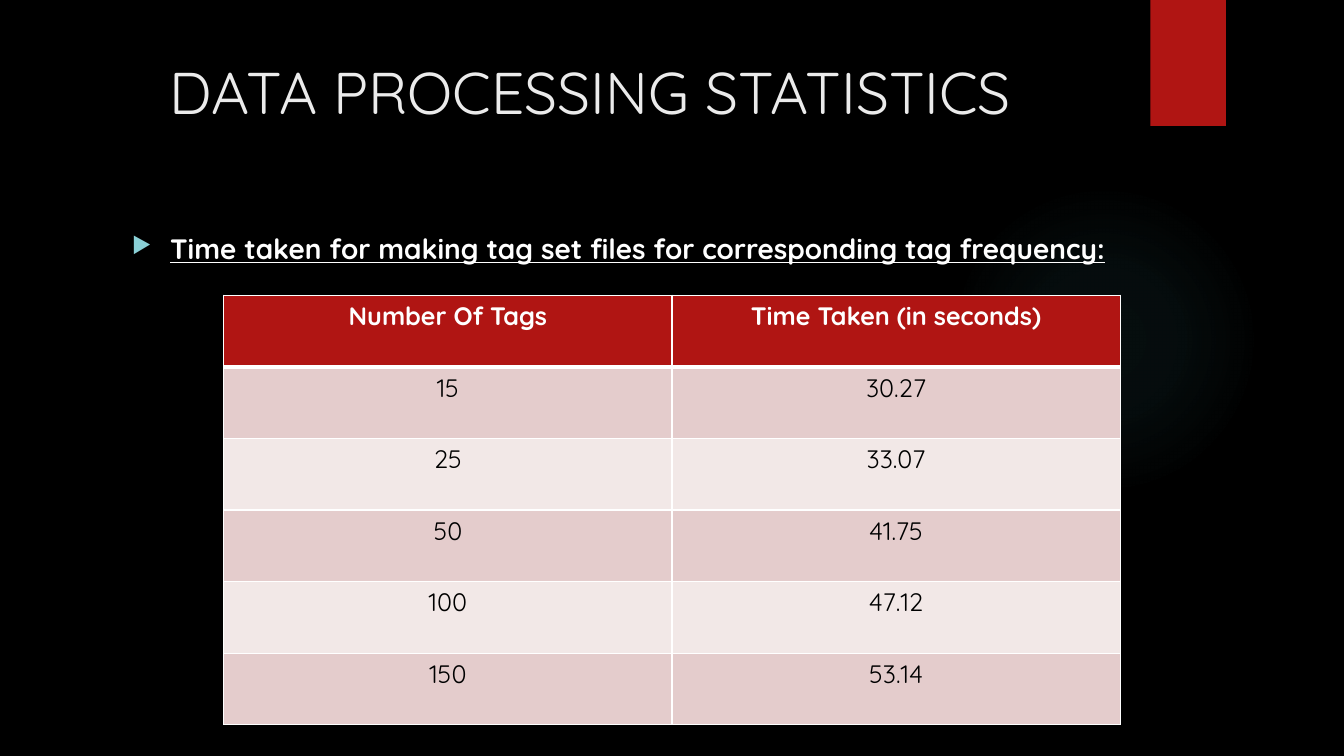
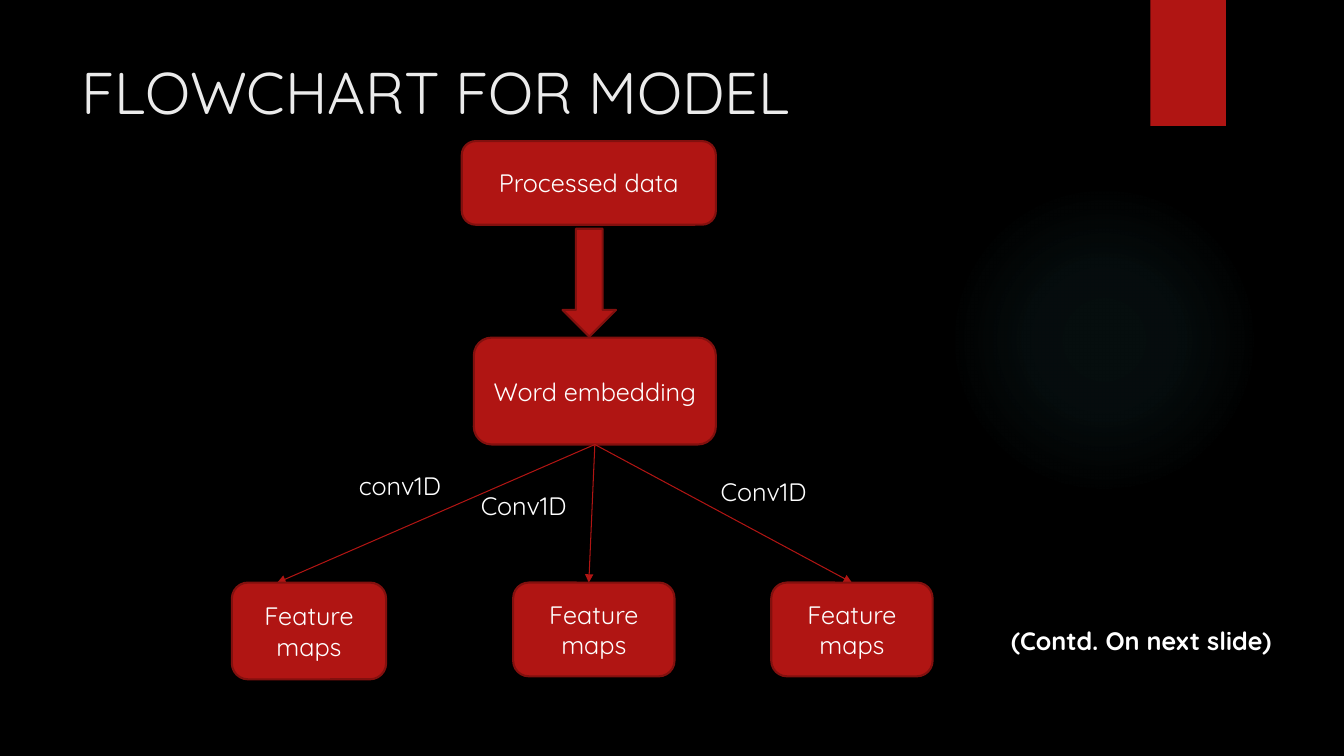
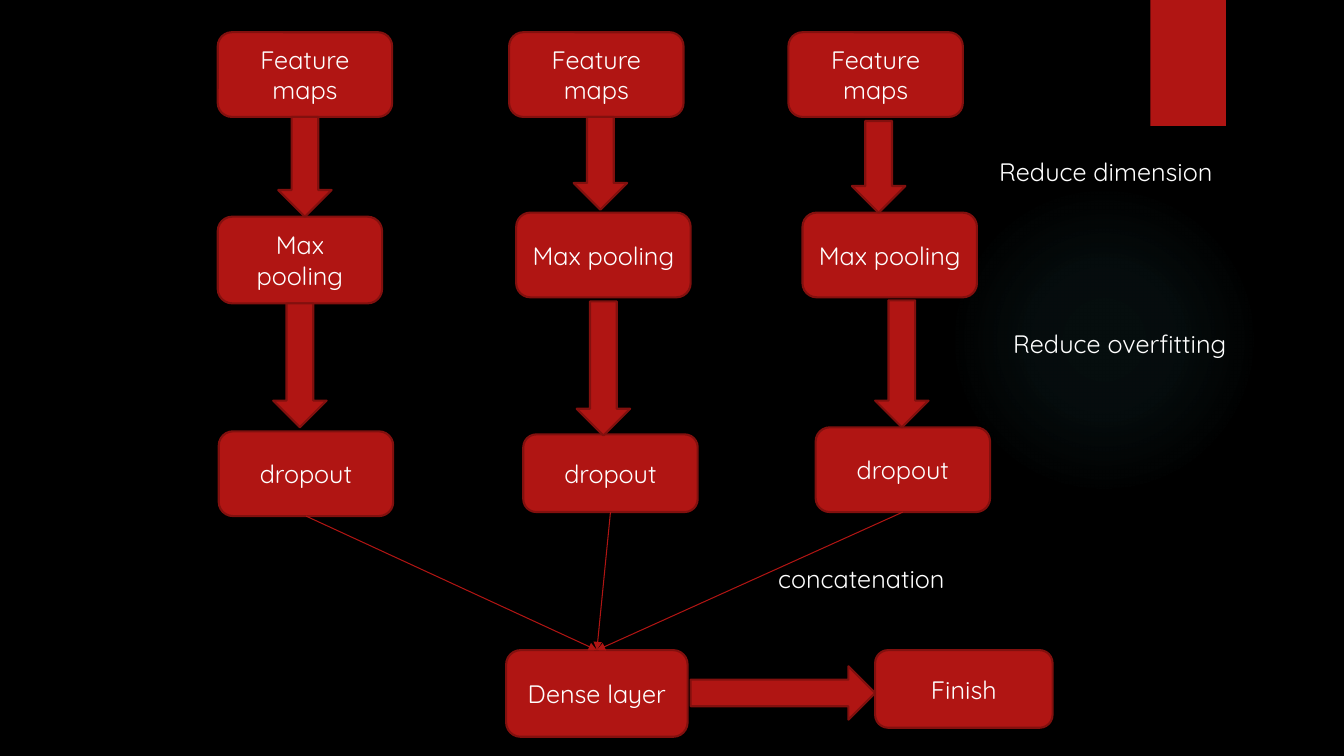
import dataclasses
import pptx
import pptx.dml.color
import pptx.enum.shapes
import pptx.enum.text
import pptx.oxml
import pptx.oxml.ns
import pptx.util

Inches = pptx.util.Inches
Pt = pptx.util.Pt
SHAPE = pptx.enum.shapes.MSO_SHAPE
ALIGN = pptx.enum.text.PP_ALIGN
ROUNDED = SHAPE.ROUNDED_RECTANGLE
PROCESS = SHAPE.FLOWCHART_ALTERNATE_PROCESS


@dataclasses.dataclass(frozen=True)
class Theme:
    font: str = "Quicksand"
    background: str = "000000"
    accent: str = "B01513"
    outline: str = "82100E"
    glow: str = "50B9C1"
    bullet: str = "8AD0D6"
    title: str = "EBEBEB"
    light: str = "FFFFFF"
    dark: str = "000000"
    bands: tuple = ("E4CCCC", "F2E8E7")
    title_size: int = 42
    lead_size: int = 20
    body_size: int = 18
    outline_width: float = 1.5
    link_width: float = 0.75
    border_width: int = 1
    header_border_width: int = 3


@dataclasses.dataclass(frozen=True)
class Box:
    left: float
    top: float
    width: float
    height: float

    def inches(self):
        return [Inches(v) for v in (self.left, self.top, self.width, self.height)]

    def inner(self, left, top, width, height):
        return Box(self.left + left, self.top + top, width, height)

    def point(self, x, y):
        return self.left + x, self.top + y

    def top_middle(self):
        return self.point(self.width / 2, 0)

    def bottom_middle(self):
        return self.point(self.width / 2, self.height)


THEME = Theme()
PAGE = Box(0, 0, 13.33, 7.5)


def rgb(value):
    return pptx.dml.color.RGBColor.from_string(value)


def drawing(markup):
    head, rest = markup.split(">", 1)
    closing = "/" if head.endswith("/") else ""
    head = head.removesuffix("/")
    return pptx.oxml.parse_xml(f'{head} {pptx.oxml.ns.nsdecls("a")}{closing}>{rest}')


def write(frame, text, color=THEME.light, align=ALIGN.LEFT, **formats):
    paragraph = frame.paragraphs[0]
    paragraph.alignment = align
    run = paragraph.add_run()
    run.text = text
    values = {"name": THEME.font, "size": Pt(THEME.body_size), "bold": False, **formats}
    for name, value in values.items():
        setattr(run.font, name, value)
    run.font.color.rgb = rgb(color)
    return paragraph


def add_text(slide, box, text, wrap=True, grow=False, **formats):
    frame = slide.shapes.add_textbox(*box.inches()).text_frame
    frame.word_wrap = wrap
    if grow:
        frame.auto_size = pptx.enum.text.MSO_AUTO_SIZE.SHAPE_TO_FIT_TEXT
    return write(frame, text, **formats)


def add_title(slide, box, text, align=ALIGN.LEFT):
    add_text(slide, box, text, color=THEME.title, align=align, size=Pt(THEME.title_size))


def add_label(slide, box, text):
    add_text(slide, box, text, wrap=False, grow=True)


def add_block(slide, box, kind, text=""):
    block = slide.shapes.add_shape(kind, *box.inches())
    block.shadow.inherit = False
    block.fill.solid()
    block.fill.fore_color.rgb = rgb(THEME.accent)
    block.line.color.rgb = rgb(THEME.outline)
    block.line.width = Pt(THEME.outline_width)
    if text:
        write(block.text_frame, text, align=ALIGN.CENTER)
    return block


def add_link(slide, start, end):
    ends = [Inches(v) for v in (*start, *end)]
    link = slide.shapes.add_connector(pptx.enum.shapes.MSO_CONNECTOR.STRAIGHT, *ends)
    link.line.color.rgb = rgb(THEME.accent)
    link.line.width = Pt(THEME.link_width)
    link.line._get_or_add_ln().append(drawing('<a:tailEnd type="triangle"/>'))
    link._element.spPr.append(drawing("<a:effectLst/>"))


def add_glow(slide, box):
    glow = slide.shapes.add_shape(SHAPE.OVAL, *box.inches())
    glow.shadow.inherit = False
    glow.line.fill.background()
    glow.fill.background()
    stops = "".join(
        f'<a:gs pos="{position * 1000}"><a:srgbClr val="{THEME.glow}">'
        f'<a:alpha val="{alpha * 1000}"/></a:srgbClr></a:gs>'
        for position, alpha in ((0, 7), (36, 6), (69, 0))
    )
    gradient = drawing(
        f'<a:gradFill><a:gsLst>{stops}</a:gsLst><a:path path="circle">'
        '<a:fillToRect l="50000" t="50000" r="50000" b="50000"/></a:path></a:gradFill>'
    )
    properties = glow._element.spPr
    properties.replace(properties.find(pptx.oxml.ns.qn("a:noFill")), gradient)


def add_page(deck):
    slide = deck.slides.add_slide(deck.slide_layouts[6])
    add_glow(slide, PAGE.inner(9.41, 1.83, 3.08, 3.08))
    tab = add_block(slide, PAGE.inner(11.41, 0, 0.75, 1.25), SHAPE.RECTANGLE)
    tab.line.fill.background()
    return slide


def add_lead(slide, box, text):
    lead = add_text(slide, box, text, size=Pt(THEME.lead_size), bold=True, underline=True)
    lead.space_before = Pt(10)
    properties = lead._p.get_or_add_pPr()
    properties.set("marL", str(Inches(0.38)))
    properties.set("indent", str(-Inches(0.38)))
    for markup in (
        f'<a:buClr><a:srgbClr val="{THEME.bullet}"/></a:buClr>',
        '<a:buSzPct val="80000"/>',
        '<a:buChar char="▶"/>',
    ):
        properties.append(drawing(markup))


def set_borders(cell, bottom):
    widths = {"L": THEME.border_width, "R": THEME.border_width,
              "T": THEME.border_width, "B": bottom}
    for index, (side, width) in enumerate(widths.items()):
        cell._tc.get_or_add_tcPr().insert(index, drawing(
            f'<a:ln{side} w="{Pt(width)}"><a:solidFill>'
            f'<a:srgbClr val="{THEME.light}"/></a:solidFill></a:ln{side}>'
        ))


def add_timings(slide, box, rows):
    timings = slide.shapes.add_table(len(rows), len(rows[0]), *box.inches()).table
    for r, row in enumerate(rows):
        header = r == 0
        fill = THEME.accent if header else THEME.bands[(r - 1) % 2]
        for c, text in enumerate(row):
            cell = timings.cell(r, c)
            cell.fill.solid()
            cell.fill.fore_color.rgb = rgb(fill)
            write(cell.text_frame, text, THEME.light if header else THEME.dark,
                  ALIGN.CENTER, bold=header)
            set_borders(cell, THEME.header_border_width if header else THEME.border_width)


def add_convolutions(slide, area):
    embedding = area.inner(2.4, 1.95, 2.4, 1.06)
    add_block(slide, area.inner(2.28, 0, 2.52, 0.83), PROCESS, "Processed data")
    add_block(slide, embedding, ROUNDED, "Word embedding")
    add_block(slide, area.inner(3.28, 0.87, 0.53, 1.07), SHAPE.DOWN_ARROW)
    for end in (0.45, 3.54, 6.15):
        add_link(slide, embedding.bottom_middle(), area.point(end, 4.38))
    for kind, left, width, height in (
        (ROUNDED, 0, 1.53, 0.96),
        (PROCESS, 2.79, 1.6, 0.93),
        (PROCESS, 5.35, 1.6, 0.93),
    ):
        add_block(slide, area.inner(left, 4.38, width, height), kind, "Feature maps")
    for text, left, top, width in (
        ("conv1D", 1.16, 3.22, 1.15),
        ("Conv1D", 2.37, 3.42, 1.19),
        ("Conv1D", 4.75, 3.28, 1.19),
    ):
        add_label(slide, area.inner(left, top, width, 0.4), text)


def add_branch(slide, area, steps, arrows):
    names = ("Feature maps", "Max pooling", "dropout")
    boxes = [area.inner(*step) for step in steps]
    for name, box in zip(names, boxes):
        add_block(slide, box, PROCESS, name)
    for left, top, height in arrows:
        add_block(slide, area.inner(left, top, 0.53, height), SHAPE.DOWN_ARROW)
    return boxes[-1].bottom_middle()


BRANCHES = (
    (2.16,
     ((0, 0, 1.73, 0.84), (0, 1.83, 1.63, 0.86), (0.01, 3.96, 1.73, 0.84)),
     ((0.6, 0.84, 0.99), (0.55, 2.69, 1.23))),
    (5.05,
     ((0, 0, 1.73, 0.84), (0.07, 1.79, 1.73, 0.84), (0.14, 3.99, 1.73, 0.77)),
     ((0.64, 0.84, 0.92), (0.67, 2.67, 1.33))),
    (7.82,
     ((0, 0, 1.73, 0.84), (0.14, 1.79, 1.73, 0.84), (0.27, 3.92, 1.73, 0.84)),
     ((0.63, 0.88, 0.91), (0.86, 2.66, 1.26))),
)


def add_output(slide, area, sources):
    dense = area.inner(0, 0, 1.8, 0.86)
    add_block(slide, dense, PROCESS, "Dense layer")
    for source in sources:
        add_link(slide, source, dense.top_middle())
    add_block(slide, area.inner(3.66, 0, 1.76, 0.77), PROCESS, "Finish")
    add_block(slide, area.inner(1.83, 0.16, 1.83, 0.53), SHAPE.RIGHT_ARROW)


def build_statistics(deck):
    slide = add_page(deck)
    add_title(slide, PAGE.inner(0.71, 0.5, 10.29, 1.53),
              "DATA PROCESSING STATISTICS", ALIGN.CENTER)
    add_lead(slide, PAGE.inner(1.21, 2.25, 10.93, 4.94),
             "Time taken for making tag set files for corresponding tag frequency:")
    add_timings(slide, PAGE.inner(2.22, 2.93, 8.89, 4.26), (
        ("Number Of Tags", "Time Taken (in seconds)"),
        ("15", "30.27"),
        ("25", "33.07"),
        ("50", "41.75"),
        ("100", "47.12"),
        ("150", "53.14"),
    ))


def build_flowchart(deck):
    slide = add_page(deck)
    add_title(slide, PAGE.inner(0.71, 0.5, 9.34, 1.12), "FLOWCHART FOR MODEL")
    add_convolutions(slide, PAGE.inner(2.3, 1.4, 6.95, 5.34))
    add_text(slide, PAGE.inner(9.73, 6.15, 3.18, 0.4), "(Contd. On next slide)",
             grow=True, align=ALIGN.CENTER, bold=True)


def build_continuation(deck):
    slide = add_page(deck)
    sources = [add_branch(slide, PAGE.inner(left, 0.32, 2, 4.8), steps, arrows)
               for left, steps, arrows in BRANCHES]
    add_output(slide, PAGE.inner(5.02, 6.45, 5.42, 0.86), sources)
    for text, left, top, width in (
        ("Reduce dimension", 9.81, 1.5, 2.49),
        ("Reduce overfitting", 9.95, 3.21, 2.47),
        ("concatenation", 7.62, 5.54, 2.05),
    ):
        add_label(slide, PAGE.inner(left, top, width, 0.4), text)


def main():
    deck = pptx.Presentation()
    deck.slide_width = Inches(PAGE.width)
    deck.slide_height = Inches(PAGE.height)
    backdrop = deck.slide_master.background.fill
    backdrop.solid()
    backdrop.fore_color.rgb = rgb(THEME.background)
    for build in (build_statistics, build_flowchart, build_continuation):
        build(deck)
    deck.save("out.pptx")


if __name__ == "__main__":
    main()
